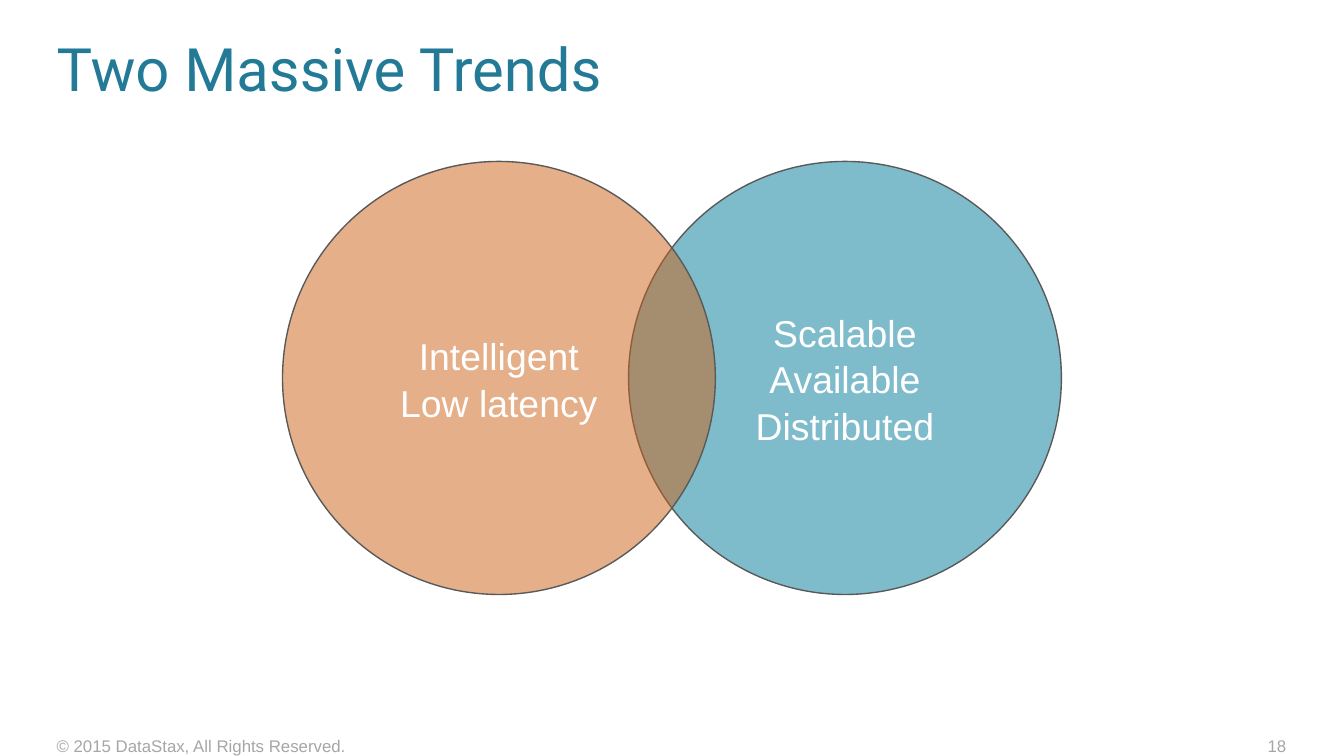
from dataclasses import dataclass

from lxml import etree
from pptx import Presentation
from pptx.dml.color import RGBColor
from pptx.enum.shapes import MSO_SHAPE
from pptx.enum.text import MSO_ANCHOR, PP_ALIGN
from pptx.oxml.ns import qn
from pptx.util import Cm, Pt

OVAL = MSO_SHAPE.OVAL
TOP, MIDDLE = MSO_ANCHOR.TOP, MSO_ANCHOR.MIDDLE
LEFT, CENTER, RIGHT = PP_ALIGN.LEFT, PP_ALIGN.CENTER, PP_ALIGN.RIGHT


@dataclass(frozen=True)
class Theme:
    heading_font: str = "Roboto"
    body_font: str = "Arial"
    heading: str = "237A97"
    footer: str = "A6A6A6"
    label: str = "FFFFFF"
    outline: str = "595959"
    scale: str = "007B98"
    speed: str = "CB6015"
    heading_size: int = 32
    label_size: int = 20
    footer_size: int = 9
    opacity: int = 50


THEME = Theme()


def write_lines(frame, lines, font, size, color, align, line_spacing=1.0):
    for index, line in enumerate(lines):
        paragraph = frame.paragraphs[0] if index == 0 else frame.add_paragraph()
        paragraph.text = line
        paragraph.alignment = align
        paragraph.line_spacing = line_spacing
        for attribute, value in {"name": font, "size": Pt(size)}.items():
            setattr(paragraph.font, attribute, value)
        paragraph.font.color.rgb = RGBColor.from_string(color)


def add_text(slide, text, box, font, size, color,
             align=LEFT, anchor=TOP, right_inset=0.25):
    frame = slide.shapes.add_textbox(*map(Cm, box)).text_frame
    layout = {
        "word_wrap": True,
        "vertical_anchor": anchor,
        "margin_left": 0,
        "margin_top": 0,
        "margin_right": Cm(right_inset),
        "margin_bottom": 0,
    }
    for attribute, value in layout.items():
        setattr(frame, attribute, value)
    write_lines(frame, [text], font, size, color, align)


def add_trend(venn, lines, left, color):
    top, diameter = 3.05, 8.18
    circle = venn.shapes.add_shape(
        OVAL, Cm(left), Cm(top), Cm(diameter), Cm(diameter))
    circle.shadow.inherit = False
    circle.fill.solid()
    circle.fill.fore_color.rgb = RGBColor.from_string(color)
    tint = circle.fill._xPr.find(qn("a:solidFill"))[0]
    etree.SubElement(tint, qn("a:alpha"), val=str(THEME.opacity * 1000))
    circle.line.color.rgb = RGBColor.from_string(THEME.outline)
    circle.line.width = Pt(0.75)
    circle.text_frame.vertical_anchor = MIDDLE
    write_lines(circle.text_frame, lines, THEME.body_font, THEME.label_size,
                THEME.label, CENTER, line_spacing=1.04)


def main():
    deck = Presentation()
    deck.slide_width, deck.slide_height = Cm(25.4), Cm(14.28)
    slide = deck.slides.add_slide(deck.slide_layouts[6])

    add_text(slide, "Two Massive Trends", (1.07, 0.56, 20.96, 1.45),
             THEME.heading_font, THEME.heading_size, THEME.heading,
             anchor=MIDDLE)

    footer_style = THEME.body_font, THEME.footer_size, THEME.footer
    add_text(slide, "© 2015 DataStax, All Rights Reserved.",
             (1.07, 13.89, 9.73, 0.76), *footer_style)
    add_text(slide, "18", (18.8, 13.89, 5.51, 0.76), *footer_style,
             align=RIGHT, right_inset=0)

    venn = slide.shapes.add_group_shape()
    add_trend(venn, ["Scalable", "Available", "Distributed"], 11.88, THEME.scale)
    add_trend(venn, ["Intelligent", "Low latency"], 5.34, THEME.speed)

    deck.save("out.pptx")


if __name__ == "__main__":
    main()
